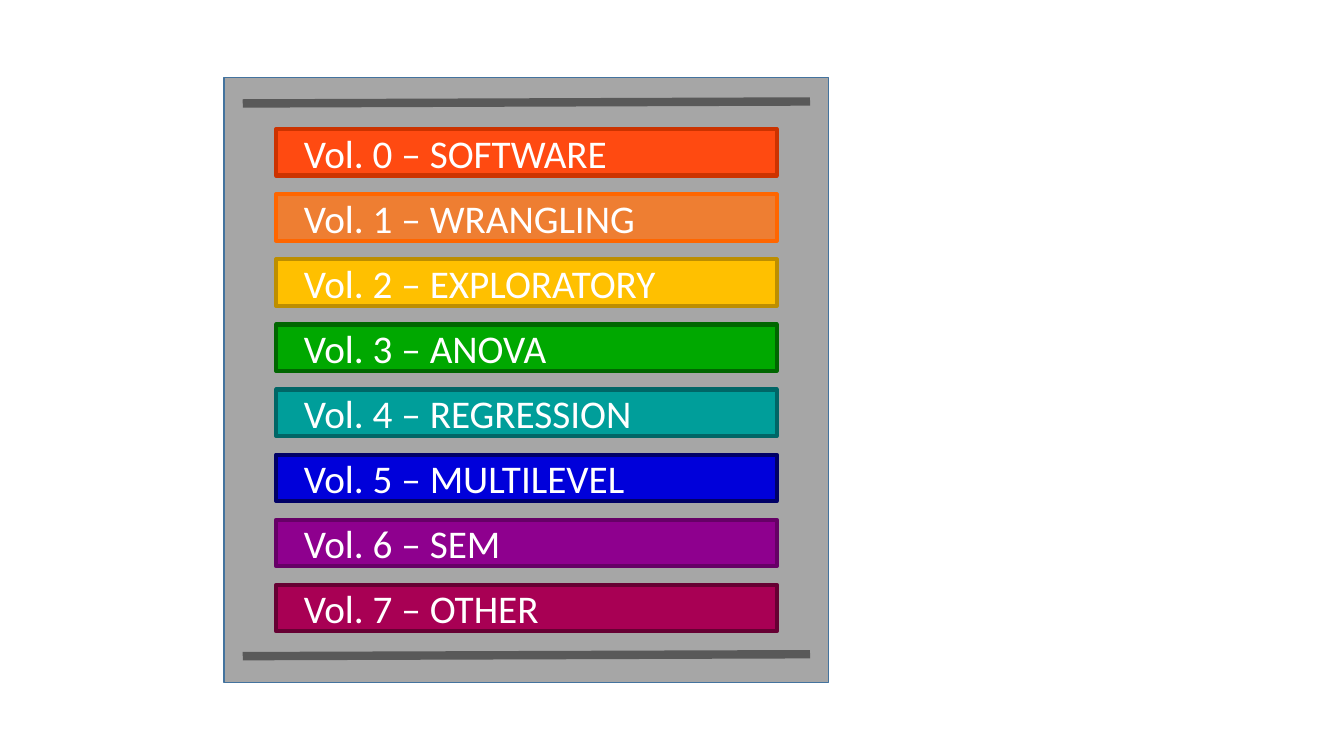
import pptx
import pptx.util
import pptx.dml.color
import pptx.enum.shapes
import pptx.enum.text
import pptx.oxml.ns
from dataclasses import dataclass
from lxml import etree

Pt = pptx.util.Pt
RGB = pptx.dml.color.RGBColor.from_string


@dataclass(frozen=True)
class Theme:
    font: str = "Calibri"
    volume_size: float = 28
    text: str = "FFFFFF"
    case_fill: str = "A6A6A6"
    case_edge: str = "43739E"
    rail: str = "595959"


THEME = Theme()

# Subject, fill and edge of each volume
VOLUMES = [
    ("SOFTWARE", "FF4A11", "CC3300"),
    ("WRANGLING", "EE7E32", "FF6600"),
    ("EXPLORATORY", "FFC000", "BD8E00"),
    ("ANOVA", "00A800", "006600"),
    ("REGRESSION", "009E9A", "006666"),
    ("MULTILEVEL", "0000DA", "000066"),
    ("SEM", "8E008E", "660066"),
    ("OTHER", "A80054", "660033"),
]


def set_format(target, values):
    for name, value in values.items():
        setattr(target, name, value)


def add_block(shapes, box, fill, edge, edge_width):
    block = shapes.add_shape(pptx.enum.shapes.MSO_SHAPE.RECTANGLE,
                             *(Pt(length) for length in box))
    block.shadow.inherit = False
    block.fill.solid()
    block.fill.fore_color.rgb = RGB(fill)
    block.line.color.rgb = RGB(edge)
    block.line.width = Pt(edge_width)
    return block


def add_volume(shapes, box, label, fill, edge):
    volume = add_block(shapes, box, fill, edge, 3)
    set_format(volume.text_frame, {
        "word_wrap": True,
        "vertical_anchor": pptx.enum.text.MSO_ANCHOR.MIDDLE,
        "margin_left": Pt(19.8),
    })
    title = volume.text_frame.paragraphs[0]
    set_format(title, {"text": label, "alignment": pptx.enum.text.PP_ALIGN.LEFT})
    set_format(title.font, {"name": THEME.font, "size": Pt(THEME.volume_size)})
    title.font.color.rgb = RGB(THEME.text)


def add_rail(shapes, left, top, width, rise):
    rail = shapes.add_connector(pptx.enum.shapes.MSO_CONNECTOR.STRAIGHT,
                                Pt(left), Pt(top), Pt(left + width), Pt(top - rise))
    rail.line.color.rgb = RGB(THEME.rail)
    rail.line.width = Pt(6)
    etree.SubElement(rail._element.spPr, pptx.oxml.ns.qn("a:effectLst"))


def add_bookcase(slide, left, top, side):
    shapes = slide.shapes.add_group_shape().shapes

    # Case
    add_block(shapes, (left, top, side, side), THEME.case_fill, THEME.case_edge, 1)

    # Volumes
    inset, first, pitch, height = 37.2, 36.9, 46.5, 33.1
    for number, (subject, fill, edge) in enumerate(VOLUMES):
        box = (left + inset, top + first + number * pitch, side - 2 * inset, height)
        add_volume(shapes, box, f"Vol. {number} – {subject}", fill, edge)

    # Rails above and below the volumes
    margin = 13.4
    for offset in (18.5, side - 18.7):
        add_rail(shapes, left + margin, top + offset, side - 2 * margin, 1.4)


def main():
    deck = pptx.Presentation()
    deck.slide_width, deck.slide_height = Pt(960), Pt(540)
    slide = deck.slides.add_slide(deck.slide_layouts[6])
    add_bookcase(slide, left=160, top=55.4, side=432)
    deck.save("out.pptx")


if __name__ == "__main__":
    main()
